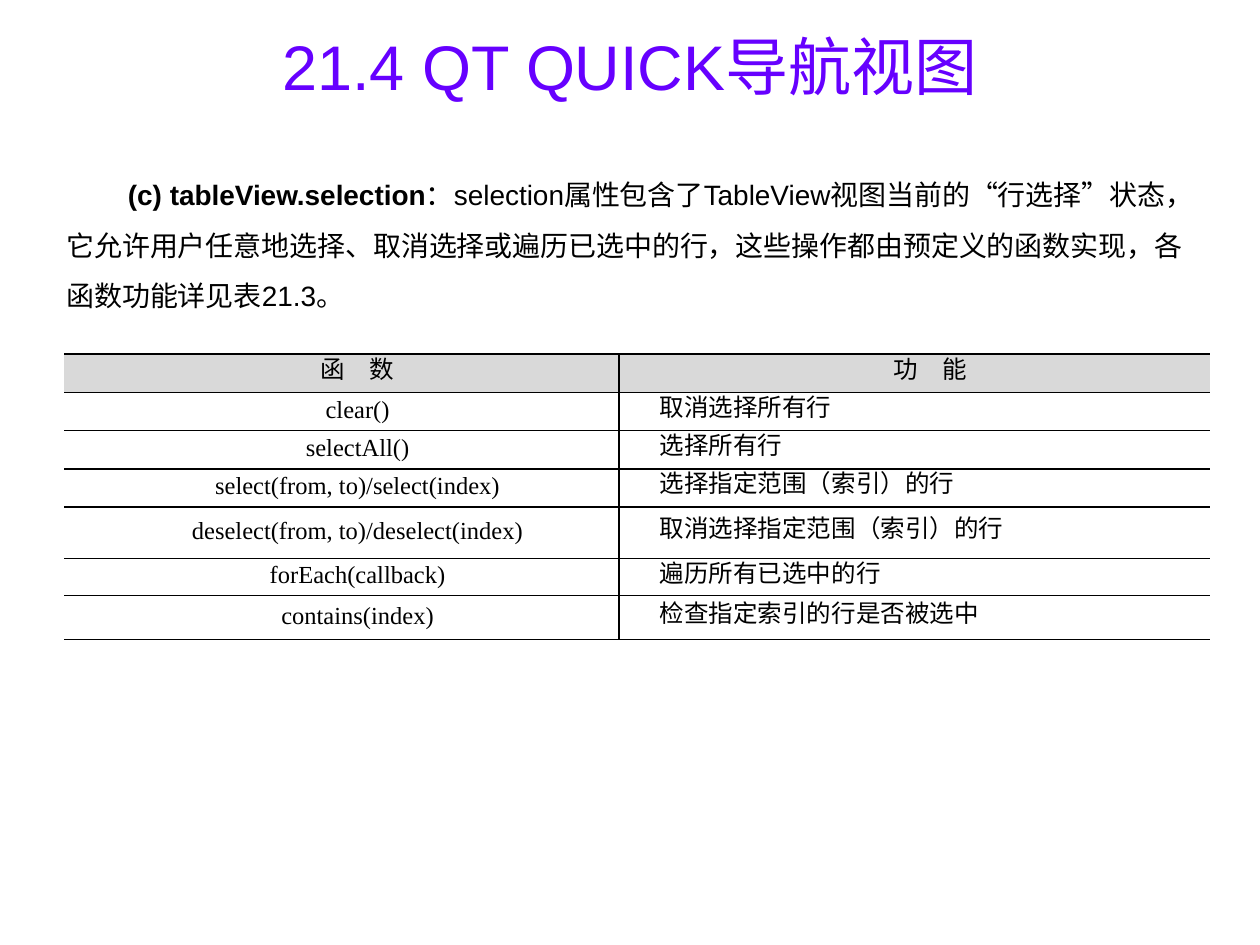
import pptx
import pptx.dml.color
import pptx.enum.text
import pptx.oxml
import pptx.oxml.ns
import pptx.util

Cm = pptx.util.Cm
Pt = pptx.util.Pt
Align = pptx.enum.text.PP_ALIGN
Anchor = pptx.enum.text.MSO_ANCHOR
RGBColor = pptx.dml.color.RGBColor

BLACK = RGBColor(0x00, 0x00, 0x00)
GREY = RGBColor(0xD9, 0xD9, 0xD9)
VIOLET = RGBColor(0x66, 0x00, 0xFF)

TITLE = "21.4 QT QUICK导航视图"
LEAD = "(c) tableView.selection"
BODY = (
    "：selection属性包含了TableView视图当前的“行选择”状态，"
    "它允许用户任意地选择、取消选择或遍历已选中的行，"
    "这些操作都由预定义的函数实现，各函数功能详见表21.3。"
)
ROWS = [
    ("函　数", "功　能"),
    ("clear()", "取消选择所有行"),
    ("selectAll()", "选择所有行"),
    ("select(from, to)/select(index)", "选择指定范围（索引）的行"),
    ("deselect(from, to)/deselect(index)", "取消选择指定范围（索引）的行"),
    ("forEach(callback)", "遍历所有已选中的行"),
    ("contains(index)", "检查指定索引的行是否被选中"),
]
WIDTHS = [11.18, 11.91]
HEIGHTS = [0.77] * 4 + [1.04, 0.74, 0.89]


def write(frame, *parts, font="Arial", size=16, color=BLACK, align=None,
          indent=0, spacing=None):
    """Fill the first paragraph with (text, bold) parts."""
    para = frame.paragraphs[0]
    if align is not None:
        para.alignment = align
    if spacing is not None:
        para.line_spacing = spacing
    if indent:
        props = para._p.get_or_add_pPr()
        props.set("marL", "0")
        props.set("indent", str(Cm(indent)))
    for text, bold in parts:
        run = para.add_run()
        run.text = text
        run.font.name = font
        run.font.size = Pt(size)
        run.font.bold = bold
        run.font.color.rgb = color
    return para


def line(tag, color=None, width=1):
    """Make a line element, unfilled when no colour is given."""
    fill = "<a:noFill/>"
    if color is not None:
        fill = f'<a:solidFill><a:srgbClr val="{color}"/></a:solidFill>'
    space = pptx.oxml.ns.nsdecls("a")
    return pptx.oxml.parse_xml(
        f'<a:{tag} {space} w="{Pt(width)}">{fill}</a:{tag}>')


class Deck:
    def __init__(self):
        self.deck = pptx.Presentation()
        self.deck.slide_width = Cm(25.4)
        self.deck.slide_height = Cm(19.05)
        self.slide = self.deck.slides.add_slide(self.deck.slide_layouts[5])

    def title(self, text, left, top, width, height):
        shape = self.slide.shapes.title
        shape.left, shape.top = Cm(left), Cm(top)
        shape.width, shape.height = Cm(width), Cm(height)
        frame = shape.text_frame
        frame.vertical_anchor = Anchor.MIDDLE
        para = write(frame, (text, False), size=36, color=VIOLET,
                     align=Align.CENTER)
        para.runs[0]._r.rPr.insert(0, line("ln", VIOLET, 0.71))

    def text(self, parts, left, top, width, height):
        box = self.slide.shapes.add_textbox(
            Cm(left), Cm(top), Cm(width), Cm(height))
        frame = box.text_frame
        frame.word_wrap = True
        frame.auto_size = pptx.enum.text.MSO_AUTO_SIZE.SHAPE_TO_FIT_TEXT
        write(frame, *parts, indent=1.24, spacing=1.5)

    def cell(self, cell, text, head, first):
        cell.vertical_anchor = Anchor.MIDDLE
        cell.margin_left = cell.margin_right = Cm(0.18)
        cell.margin_top = cell.margin_bottom = 0
        write(cell.text_frame, (text, False), font="Times New Roman", size=14,
              align=Align.CENTER if head or first else Align.JUSTIFY,
              indent=0.64, spacing=Pt(14))
        if head:
            cell.fill.solid()
            cell.fill.fore_color.rgb = GREY
        else:
            cell.fill.background()
        edges = [("lnL", not first), ("lnR", first), ("lnT", True), ("lnB", True)]
        for spot, (tag, drawn) in enumerate(edges):
            cell._tc.tcPr.insert(spot, line(tag, BLACK if drawn else None))

    def table(self, rows, left, top, widths, heights):
        grid = self.slide.shapes.add_table(
            len(rows), len(widths), Cm(left), Cm(top),
            Cm(sum(widths)), Cm(sum(heights))).table
        grid.first_row = grid.horz_banding = False
        for col, width in zip(grid.columns, widths):
            col.width = Cm(width)
        for row, height in zip(grid.rows, heights):
            row.height = Cm(height)
        for r, texts in enumerate(rows):
            for c, text in enumerate(texts):
                self.cell(grid.cell(r, c), text, head=r == 0, first=c == 0)

    def save(self):
        self.deck.save("out.pptx")


def main():
    deck = Deck()
    deck.title(TITLE, 0.84, 0.13, 23.72, 2.39)
    deck.text([(LEAD, True), (BODY, False)], 1.09, 3.12, 23.19, 4.34)
    deck.table(ROWS, 1.3, 7.14, WIDTHS, HEIGHTS)
    deck.save()


if __name__ == "__main__":
    main()
